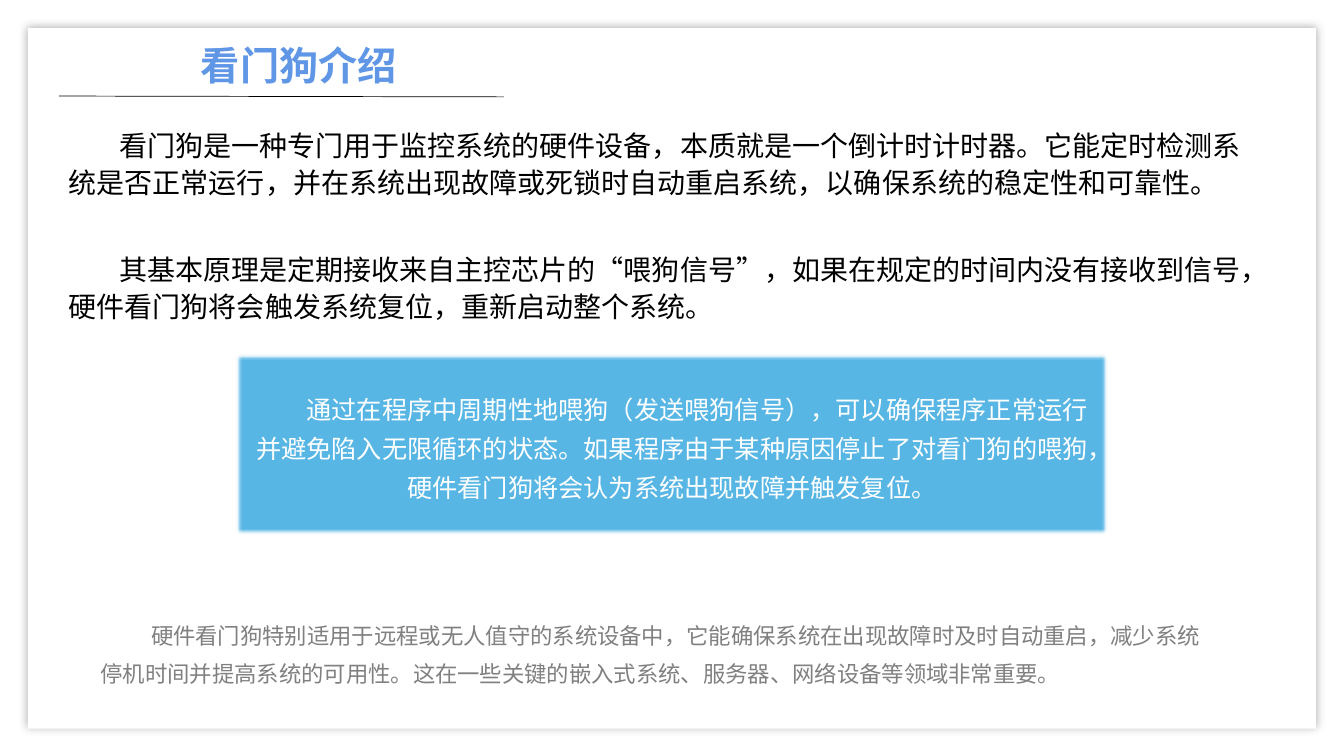
from lxml.etree import SubElement
from pptx import Presentation
from pptx.dml.color import RGBColor
from pptx.enum.shapes import MSO_CONNECTOR as Connector, MSO_SHAPE as Preset
from pptx.enum.text import MSO_ANCHOR as Anchor, MSO_AUTO_SIZE as AutoSize, PP_ALIGN as Align
from pptx.oxml.ns import qn
from pptx.util import Pt

COLORS = {
    "white": "FFFFFF", "black": "000000", "title": "6096E6",
    "callout": "58B6E5", "note": "808080", "shadow": "404040",
}
CJK_FONT = "Noto Sans CJK SC"


def write(shape, text, color, indent=0, align=Align.LEFT, anchor=Anchor.TOP, spacing=1.0, **font):
    frame = shape.text_frame
    frame.word_wrap = True
    frame.auto_size = AutoSize.NONE
    frame.vertical_anchor = anchor
    para = frame.paragraphs[0]
    para.alignment = align
    para.line_spacing = spacing
    properties = para._p.get_or_add_pPr()
    properties.set("marL", "0")
    properties.set("indent", str(Pt(indent)))
    span = para.add_run()
    span.text = text
    for name, value in font.items():
        setattr(span.font, name, value)
    span.font.color.rgb = RGBColor.from_string(COLORS[color])
    SubElement(span._r.get_or_add_rPr(), qn("a:ea"), typeface=CJK_FONT)


def add_block(left, top, width, height, color):
    block = page.shapes.add_shape(Preset.RECTANGLE, Pt(left), Pt(top), Pt(width), Pt(height))
    block.fill.solid()
    block.fill.fore_color.rgb = RGBColor.from_string(COLORS[color])
    block.line.fill.background()
    block.shadow.inherit = False
    return block, block._element.spPr.find(qn("a:effectLst"))


deck = Presentation()
deck.slide_width, deck.slide_height = Pt(960), Pt(540)
page = deck.slides.add_slide(deck.slide_layouts[5])

# White panel with a soft shadow, behind everything
panel, effects = add_block(20, 20, 920, 500.4, "white")
shadow = SubElement(effects, qn("a:outerShdw"), blurRad=str(Pt(6)), dist="0", algn="ctr", rotWithShape="0")
shade = SubElement(shadow, qn("a:srgbClr"), val=COLORS["shadow"])
SubElement(shade, qn("a:alpha"), val="41000")
page.shapes._spTree.insert(2, panel._element)

# Title and its rule
title = page.shapes.title
title.left, title.top, title.width, title.height = Pt(87.8), Pt(26), Pt(251.3), Pt(41)
write(title, "看门狗介绍", "title", align=Align.CENTER, size=Pt(28), name="Arial", bold=True)
rule = page.shapes.add_connector(Connector.STRAIGHT, Pt(42), Pt(68.6), Pt(360), Pt(69.2))
rule.line.color.rgb = RGBColor.from_string(COLORS["black"])
rule.line.width = Pt(0.5)
SubElement(rule._element.spPr, qn("a:effectLst"))

# Running text: definition, principle and closing note
body = {"color": "black", "spacing": 1.1, "size": Pt(20), "name": CJK_FONT}
note = {"color": "note", "spacing": 1.4, "size": Pt(16), "name": "Arial"}
passages = [
    (42, 85.7, 853.2, 69.8, body,
     "看门狗是一种专门用于监控系统的硬件设备，本质就是一个倒计时计时器。它能定时检测系统是否正常运行，"
     "并在系统出现故障或死锁时自动重启系统，以确保系统的稳定性和可靠性。"),
    (42, 174.2, 867.6, 72, body,
     "其基本原理是定期接收来自主控芯片的“喂狗信号”，如果在规定的时间内没有接收到信号，"
     "硬件看门狗将会触发系统复位，重新启动整个系统。"),
    (64.8, 433.4, 814.3, 68.4, note,
     "硬件看门狗特别适用于远程或无人值守的系统设备中，它能确保系统在出现故障时及时自动重启，"
     "减少系统停机时间并提高系统的可用性。这在一些关键的嵌入式系统、服务器、网络设备等领域非常重要。"),
]
for left, top, width, height, style, text in passages:
    box = page.shapes.add_textbox(Pt(left), Pt(top), Pt(width), Pt(height))
    write(box, text, indent=36, **style)

# Blue callout with soft edges
callout, effects = add_block(168.5, 252.7, 622.8, 128.9, "callout")
SubElement(effects, qn("a:softEdge"), rad=str(Pt(2.5)))
write(callout,
      "通过在程序中周期性地喂狗（发送喂狗信号），可以确保程序正常运行并避免陷入无限循环的状态。"
      "如果程序由于某种原因停止了对看门狗的喂狗，硬件看门狗将会认为系统出现故障并触发复位。",
      "white", indent=36, align=Align.CENTER, anchor=Anchor.MIDDLE, spacing=1.3,
      size=Pt(18), name="Arial")

deck.save("out.pptx")
